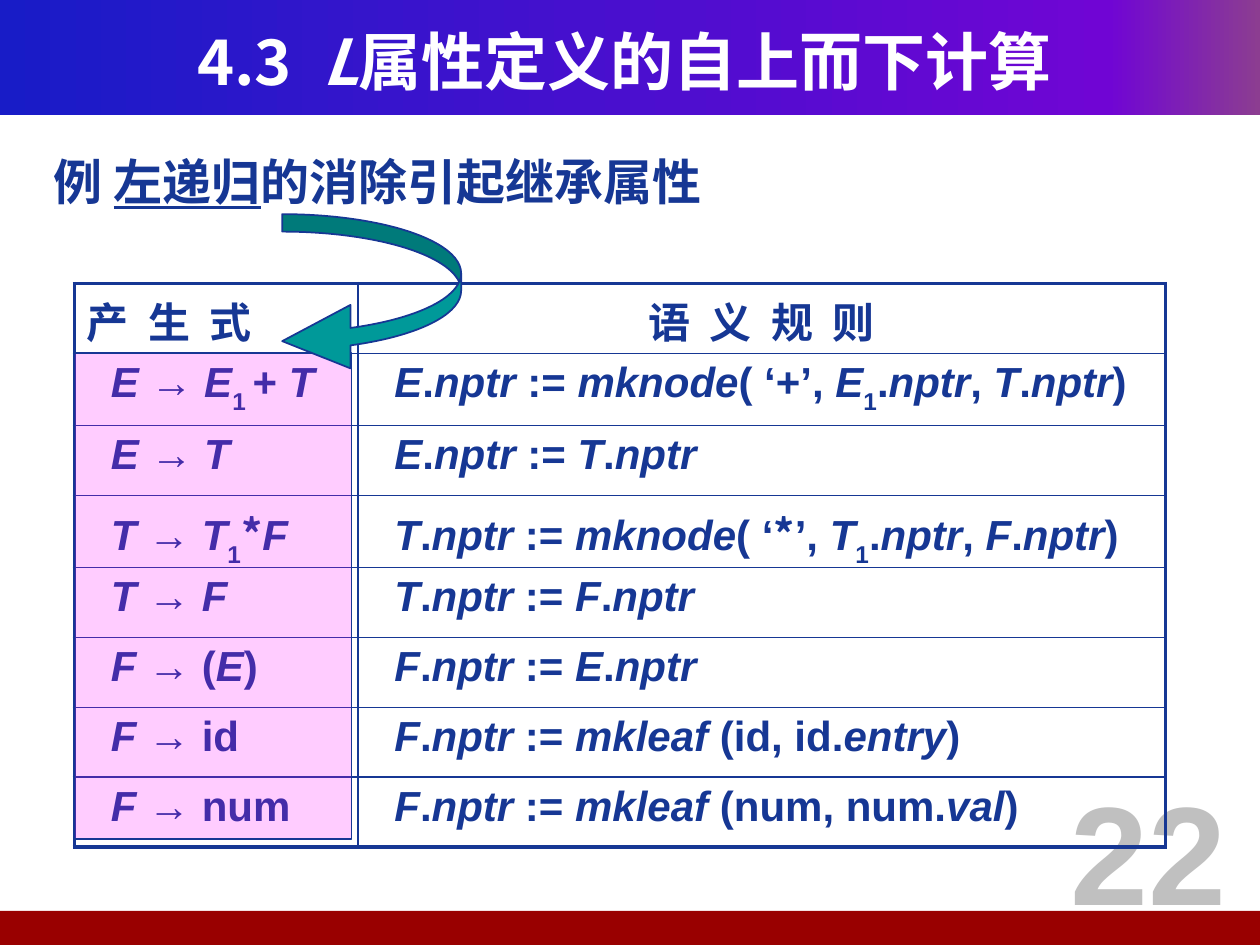
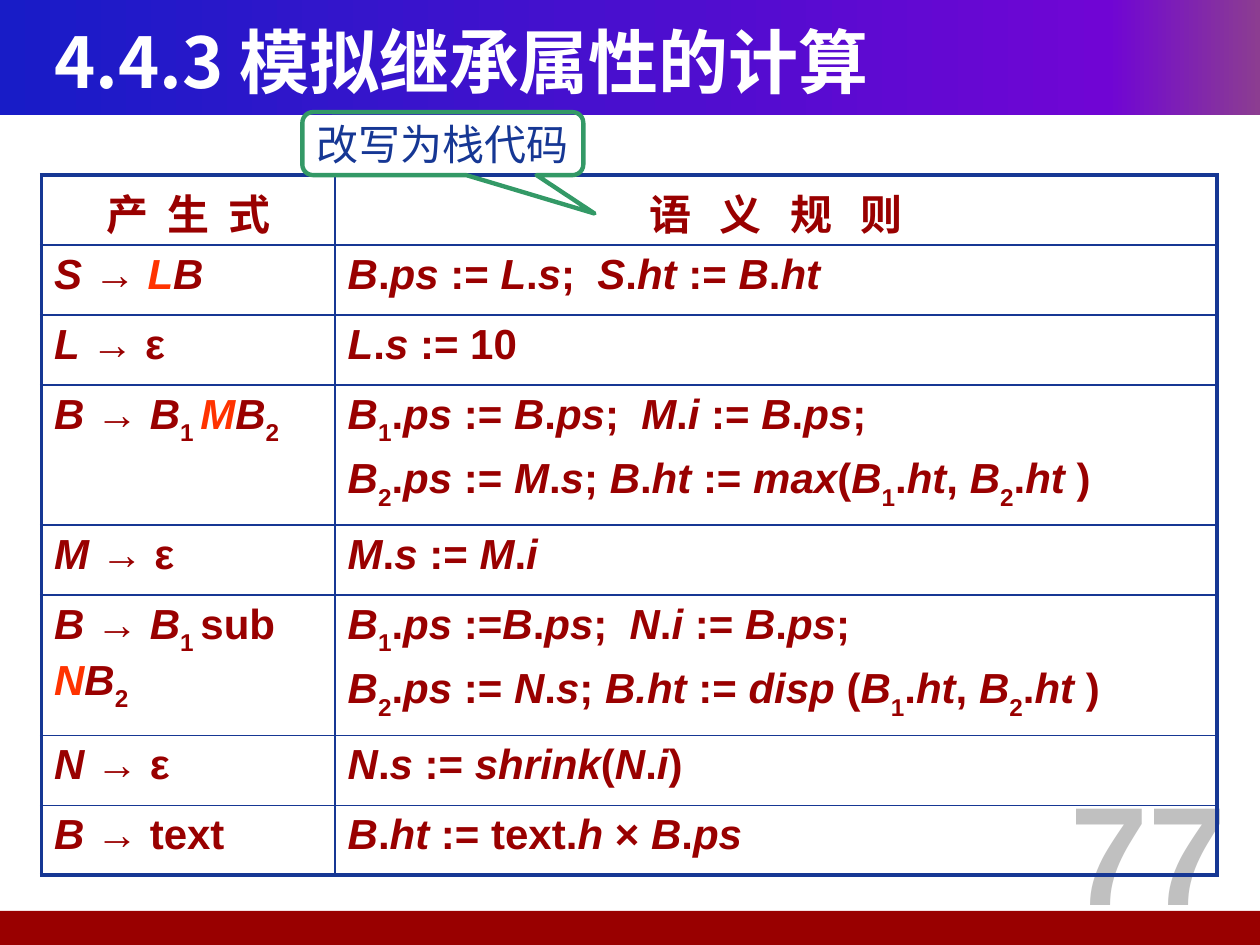
from copy import deepcopy
from itertools import groupby

from pptx import Presentation
from pptx.dml.color import RGBColor
from pptx.enum.shapes import MSO_SHAPE
from pptx.enum.text import MSO_ANCHOR, MSO_AUTO_SIZE, PP_ALIGN
from pptx.oxml import parse_xml
from pptx.oxml.ns import nsdecls, qn
from pptx.oxml.xmlchemy import OxmlElement
from pptx.util import Inches, Pt

NAVY = RGBColor(0x16, 0x37, 0x94)
DARK_RED = RGBColor(0x99, 0x00, 0x00)
BRIGHT_RED = RGBColor(0xFF, 0x33, 0x00)
WHITE = RGBColor(0xFF, 0xFF, 0xFF)
GREY = RGBColor(0xC0, 0xC0, 0xC0)
MAGENTA = RGBColor(0xFF, 0x00, 0xFF)
TEAL = RGBColor(0x00, 0x99, 0x99)
GREEN = RGBColor(0x33, 0x99, 0x66)
BAND_STOPS = [
    (0, RGBColor(0x18, 0x1C, 0xC7)),
    (0.88, RGBColor(0x70, 0x05, 0xD4)),
    (1, RGBColor(0x8C, 0x3D, 0x91)),
]
ARIAL = "Arial"
CJK = "Noto Sans CJK SC"

ITALIC, SUB, HOT, HAN, WIDE, UNDER = MARKS = "_~^`|%"

RECURSION = {
    "title": "4.3| |_L_属性定义的自上而下计算",
    "title_size": 36,
    "title_align": PP_ALIGN.CENTER,
    "number": "22",
    "at": (0.59, 2.25, 8.66, 4.44),
    "first_col": 2.25,
    "color": NAVY,
    "indent": 0.19,
    "headers": [("产 生 式", PP_ALIGN.LEFT, 2.8), ("语 义 规 则", PP_ALIGN.CENTER, 2.8)],
    "rows": [
        ("_E_ → _E_~1 ~+ _T_", ["_E_._nptr_ := _mknode_( ‘+’, _E_~1~._nptr_, _T_._nptr_)"]),
        ("_E_ → _T_", ["_E_._nptr_ := _T_._nptr_"]),
        ("_T_ → _T_~1~`*`_F_", ["_T_._nptr_ := _mknode_( ‘`*`’, _T_~1~._nptr_, _F_._nptr_)"]),
        ("_T_ → _F_", ["_T_._nptr_ := _F_._nptr_"]),
        ("_F_ → (_E_)", ["_F_._nptr_ := _E_._nptr_"]),
        ("_F_ → id", ["_F_._nptr_ := _mkleaf_ (id, id._entry_)"]),
        ("_F_ → num", ["_F_._nptr_ := _mkleaf_ (num, num._val_)"]),
    ],
}
STACK = {
    "title": "4.4.3 模拟继承属性的计算",
    "title_size": 40,
    "title_align": PP_ALIGN.LEFT,
    "number": "77",
    "at": (0.33, 1.39, 9.33, 5.29),
    "first_col": 2.33,
    "color": DARK_RED,
    "indent": 0,
    "headers": [("产 生 式", PP_ALIGN.CENTER, 2.8), ("语 义 规 则", PP_ALIGN.CENTER, 5.4)],
    "rows": [
        ("_S_ → _^L^B_", ["_B_._ps_ := _L_._s_;| |_S_._ht_ := _B_._ht_"]),
        ("_L_ → ε", ["_L_._s_ := 10"]),
        ("_B_ → _B_~1 ~_^M^B_~2~", [
            "_B_~1~._ps_ := _B_._ps_;| |_M_._i_ := _B_._ps_;",
            "_B_~2~._ps_ := _M_._s_; _B_._ht_ := _max_(_B_~1~._ht_, _B_~2~._ht_ )",
        ]),
        ("_M_ → ε", ["_M_._s_ := _M_._i_"]),
        ("_B_ → _B_~1 ~sub _^N^B_~2~", [
            "_B_~1~._ps_ :=_B_._ps_;| |_N_._i_ := _B_._ps_;",
            "_B_~2~._ps_ := _N_._s_; _B.ht_ := _disp_ (_B_~1~._ht_, _B_~2~._ht_ )",
        ]),
        ("_N_ → ε", ["_N_._s_ := _shrink_(_N_._i_)"]),
        ("_B_ → text", ["_B_._ht_ := text._h_ × _B_._ps_"]),
    ],
}
EXAMPLE = "例 %左递归%的消除引起继承属性"
CALLOUT = "改写为栈代码"
TALL_ROW = 0.98


def write(p, text, size=24, color=NAVY, font=ARIAL, bold=True,
          align=PP_ALIGN.LEFT, spacing=0, before=0):
    p.alignment = align
    if before:
        p.space_before = Pt(before)
    active = set()
    for mark, chars in groupby(text, lambda c: c if c in MARKS else ""):
        if mark:
            active ^= {mark}
            continue
        r = p.add_run()
        r.text = "".join(chars)
        f = r.font
        f.size, f.bold, f.italic = Pt(size), bold, ITALIC in active
        f.underline = UNDER in active
        f.color.rgb = BRIGHT_RED if HOT in active else color
        f.name = CJK if HAN in active else font
        rPr = r._r.get_or_add_rPr()
        ea = OxmlElement("a:ea")
        ea.set("typeface", f.name)
        rPr.append(ea)
        if SUB in active:
            rPr.set("baseline", "-30000")
        gap = size * 0.25 if WIDE in active else spacing
        if gap:
            rPr.set("spc", str(round(gap * 100)))


def add_box(s, at, text, **fmt):
    tf = s.shapes.add_textbox(*map(Inches, at)).text_frame
    tf.word_wrap = True
    write(tf.paragraphs[0], text, **fmt)


def add_shape(s, kind, at, fill=None, line=None, width=1, adj=()):
    sp = s.shapes.add_shape(kind, *map(Inches, at))
    sp.shadow.inherit = False
    if fill is None:
        sp.fill.background()
    else:
        sp.fill.solid()
        sp.fill.fore_color.rgb = fill
    if line is None:
        sp.line.fill.background()
    else:
        sp.line.color.rgb = line
        sp.line.width = Pt(width)
    for i, value in enumerate(adj):
        sp.adjustments[i] = value
    return sp


def add_bands(s):
    top = add_shape(s, MSO_SHAPE.RECTANGLE, (0, 0, 10, 0.91))
    top.fill.gradient()
    top.fill.gradient_angle = 0
    last = list(top.element.iter(qn("a:gs")))[-1]
    last.addnext(deepcopy(last))
    for stop, (position, color) in zip(top.fill.gradient_stops, BAND_STOPS):
        stop.position = position
        stop.color.rgb = color
    bottom = add_shape(s, MSO_SHAPE.RECTANGLE, (-0.04, 7.23, 10.04, 0.27), DARK_RED)
    for band in (bottom, top):
        band.element.getparent().insert(2, band.element)


def set_borders(cell, thick):
    tcPr = cell._tc.get_or_add_tcPr()
    for side in "LRTB":
        width = Pt(2.25 if side in thick else 1)
        tcPr.append(parse_xml(
            f'<a:ln{side} {nsdecls("a")} w="{width}"><a:solidFill>'
            f'<a:srgbClr val="{NAVY}"/></a:solidFill></a:ln{side}>'))
    cell.fill.background()


def add_rules(s, d):
    x, y, w, h = d["at"]
    rows = d["rows"]
    tall = [len(rules) > 1 for _, rules in rows]
    short_row = (h - TALL_ROW * sum(tall)) / (len(rows) + 1 - sum(tall))
    table = s.shapes.add_table(len(rows) + 1, 2, *map(Inches, d["at"])).table
    table.first_row = table.horz_banding = False
    table.columns[0].width = Inches(d["first_col"])
    table.columns[1].width = Inches(w - d["first_col"])
    for row, is_tall in zip(table.rows, [False] + tall):
        row.height = Inches(TALL_ROW if is_tall else short_row)
    for c, (text, align, spacing) in enumerate(d["headers"]):
        write(table.cell(0, c).text_frame.paragraphs[0], text, color=d["color"],
              font=CJK, align=align, spacing=spacing)
    for i, (production, rules) in enumerate(rows, 1):
        for c, lines in enumerate(([production], rules)):
            cell = table.cell(i, c)
            cell.margin_left = Inches(0.1 + d["indent"])
            tf = cell.text_frame
            for n, line in enumerate(lines):
                p = tf.add_paragraph() if n else tf.paragraphs[0]
                write(p, line, color=d["color"], before=5 * n)
    for i in range(len(rows) + 1):
        for c in range(2):
            edge = "T" if i == 0 else "B" if i == len(rows) else ""
            set_borders(table.cell(i, c), "LR"[c] + edge)


def add_slide(prs, d):
    s = prs.slides.add_slide(prs.slide_layouts[5])
    title = s.shapes.title
    title.left, title.top, title.width, title.height = map(Inches, (0.33, 0.17, 9.25, 0.62))
    tf = title.text_frame
    tf.auto_size = MSO_AUTO_SIZE.NONE
    tf.vertical_anchor = MSO_ANCHOR.MIDDLE
    write(tf.paragraphs[0], d["title"], size=d["title_size"], color=WHITE,
          font=CJK, align=d["title_align"])
    add_bands(s)
    add_box(s, (8.23, 6.03, 1.77, 1.42), d["number"], size=80, color=GREY,
            align=PP_ALIGN.CENTER)
    add_rules(s, d)
    return s


def main():
    prs = Presentation()
    prs.slide_width, prs.slide_height = Inches(10), Inches(7.5)

    s = add_slide(prs, RECURSION)
    add_box(s, (0.33, 1.15, 9.31, 0.6), EXAMPLE, size=28, font=CJK)
    veil = add_shape(s, MSO_SHAPE.RECTANGLE, (0.59, 2.8, 2.2, 3.86), MAGENTA, NAVY)
    alpha = OxmlElement("a:alpha")
    alpha.set("val", "20000")
    next(veil.element.iter(qn("a:srgbClr"))).append(alpha)
    arrow = add_shape(s, MSO_SHAPE.CURVED_RIGHT_ARROW, (2.24, 1.7, 1.42, 1.26),
                      TEAL, NAVY, adj=(0.11, 0.4, 0.43))
    arrow.element.spPr.find(qn("a:xfrm")).set("flipH", "1")

    s = add_slide(prs, STACK)
    callout = add_shape(s, MSO_SHAPE.ROUNDED_RECTANGULAR_CALLOUT, (2.4, 0.89, 2.23, 0.5),
                        line=GREEN, width=2.5, adj=(0.54, 1.11, 0.17))
    tf = callout.text_frame
    tf.word_wrap = False
    tf.vertical_anchor = MSO_ANCHOR.MIDDLE
    write(tf.paragraphs[0], CALLOUT, font=CJK, bold=False, align=PP_ALIGN.CENTER)

    prs.save("out.pptx")


if __name__ == "__main__":
    main()
